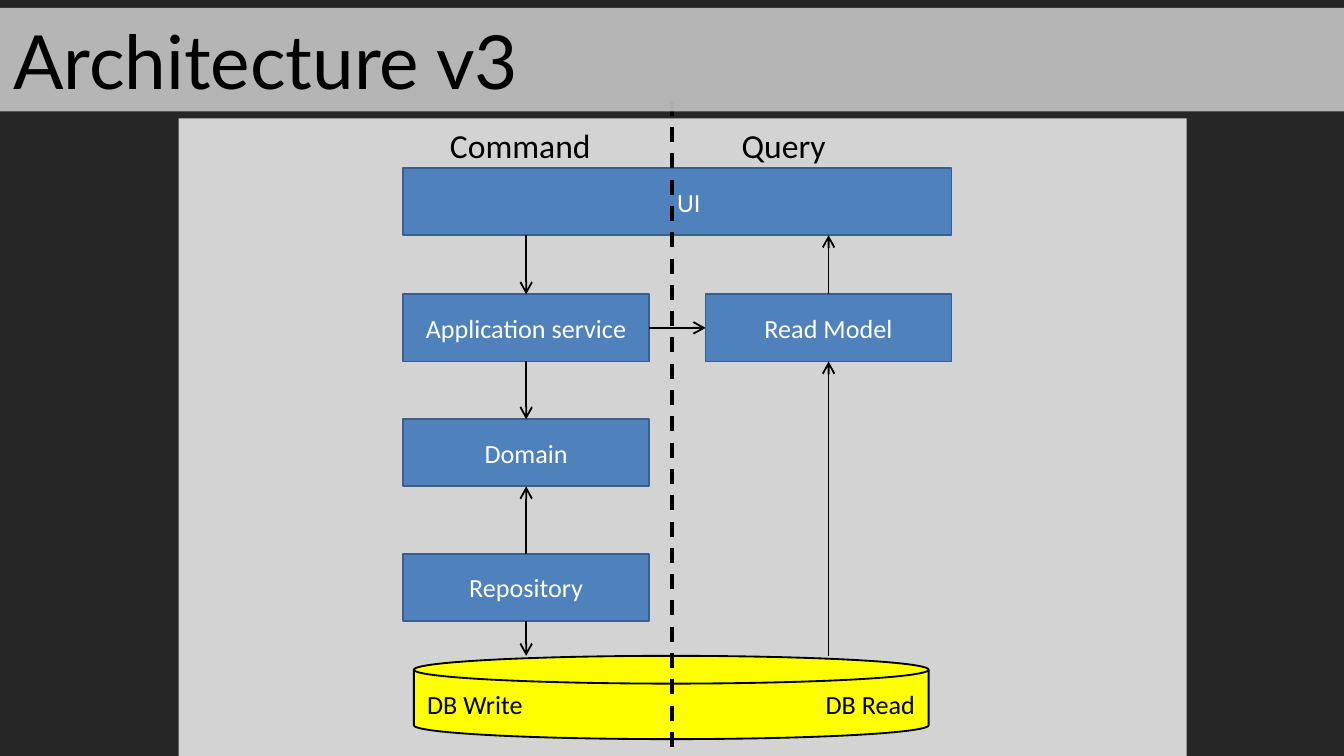
import pptx
import pptx.dml.color
import pptx.enum.dml
import pptx.enum.shapes
import pptx.enum.text
import pptx.oxml.ns
import pptx.util
from lxml import etree

Inches = pptx.util.Inches
SHAPES = pptx.enum.shapes.MSO_SHAPE
ALIGN = pptx.enum.text.PP_ALIGN
ANCHOR = pptx.enum.text.MSO_ANCHOR

COLORS = {
    "background": "262626", "panel": "F2F2F2", "banner": "D9D9D9",
    "box": "4F81BD", "edge": "3A5F8C", "store": "FFFF00",
    "white": "FFFFFF", "black": "000000",
}

TITLE = "Architecture v3"
HEADINGS = [("Command", 3.25), ("Query", 5.42)]
STORE_LABELS = ("DB Write", "DB Read")

COMMAND_LEFT, QUERY_LEFT = 3, 5.25
BOX_WIDTH, BOX_HEIGHT = 1.83, 0.5
UI_WIDTH = QUERY_LEFT + BOX_WIDTH - COMMAND_LEFT
UI_SHIFT = 0.17
STORE = (3.08, 4.88, 3.83, 0.62)
DIVIDER_X = 5

BOXES = [
    ("UI", COMMAND_LEFT, 1.25, UI_WIDTH),
    ("Application service", COMMAND_LEFT, 2.19, BOX_WIDTH),
    ("Read Model", QUERY_LEFT, 2.19, BOX_WIDTH),
    ("Domain", COMMAND_LEFT, 3.12, BOX_WIDTH),
    ("Repository", COMMAND_LEFT, 4.12, BOX_WIDTH),
]
VERTICAL_ARROWS = [
    (COMMAND_LEFT, "UI", "Application service"),
    (COMMAND_LEFT, "Application service", "Domain"),
    (COMMAND_LEFT, "Repository", "Domain"),
    (COMMAND_LEFT, "Repository", "Store"),
    (QUERY_LEFT, "Read Model", "UI"),
    (QUERY_LEFT, "Store", "Read Model"),
]

deck = pptx.Presentation()
deck.slide_width = Inches(10)
deck.slide_height = deck.slide_width * 9 // 16
page = deck.slides.add_slide(deck.slide_layouts[6])


def color(name):
    return pptx.dml.color.RGBColor.from_string(COLORS[name])


def add_element(parent, tag, **attributes):
    return etree.SubElement(parent, pptx.oxml.ns.qn(tag), attributes)


def add_shape(kind, bounds, fill, edge=None, opacity=None):
    shape = page.shapes.add_shape(kind, *map(Inches, bounds))
    shape.shadow.inherit = False
    shape.fill.solid()
    shape.fill.fore_color.rgb = color(fill)
    if opacity:
        hue = shape._element.spPr.find(".//" + pptx.oxml.ns.qn("a:srgbClr"))
        add_element(hue, "a:alpha", val=str(opacity * 1000))
    if edge:
        shape.line.color.rgb = color(edge)
        shape.line.width = pptx.util.Pt(1)
    else:
        shape.line.fill.background()
    return shape


def write(shape, text, size, ink="black", align=ALIGN.LEFT, anchor=ANCHOR.TOP, font="Calibri"):
    frame = shape.text_frame
    frame.word_wrap = True
    frame.vertical_anchor = anchor
    para = frame.paragraphs[0]
    para.text = text
    para.alignment = align
    para.font.size = pptx.util.Pt(size)
    para.font.name = font
    para.font.color.rgb = color(ink)


def add_line(start, end, width=1):
    line = page.shapes.add_connector(
        pptx.enum.shapes.MSO_CONNECTOR.STRAIGHT, *map(Inches, start + end))
    line.line.color.rgb = color("black")
    line.line.width = pptx.util.Pt(width)
    add_element(line._element.spPr, "a:effectLst")
    return line


def add_arrow(start, end):
    arrow = add_line(start, end)
    outline = arrow._element.spPr.find(pptx.oxml.ns.qn("a:ln"))
    add_element(outline, "a:tailEnd", type="arrow")


page.background.fill.solid()
page.background.fill.fore_color.rgb = color("background")
add_shape(SHAPES.RECTANGLE, (1.33, 0.88, 7.5, 4.75), "panel", opacity=85)

spans = {"Store": (STORE[1], STORE[1] + STORE[3])}
for name, left, top, width in BOXES:
    box = add_shape(SHAPES.RECTANGLE, (left, top, width, BOX_HEIGHT), "box", "edge")
    write(box, name, 14, "white", ALIGN.CENTER, ANCHOR.MIDDLE)
    if name == "UI":
        box.text_frame.margin_left = Inches(0.1 + UI_SHIFT)
    spans[name] = (top, top + BOX_HEIGHT)

store = add_shape(SHAPES.FLOWCHART_MAGNETIC_DISK, STORE, "store", "black")
properties = store.text_frame.paragraphs[0]._p.get_or_add_pPr()
tabs = add_element(properties, "a:tabLst")
add_element(tabs, "a:tab", pos=str(Inches(STORE[2] - 0.2)), algn="r")
write(store, "\t".join(STORE_LABELS), 14, anchor=ANCHOR.MIDDLE)

for left, source, target in VERTICAL_ARROWS:
    x = left + BOX_WIDTH / 2
    downward = spans[source][0] < spans[target][0]
    start, end = (1, 0) if downward else (0, 1)
    add_arrow((x, spans[source][start]), (x, spans[target][end]))

service_middle = sum(spans["Application service"]) / 2
add_arrow((COMMAND_LEFT + BOX_WIDTH, service_middle), (QUERY_LEFT, service_middle))

divider = add_line((DIVIDER_X, 0.75), (DIVIDER_X, 5.62), 2)
divider.line.dash_style = pptx.enum.dml.MSO_LINE.DASH

for heading, left in HEADINGS:
    label = page.shapes.add_textbox(*map(Inches, (left, 0.88, 1.5, 0.4)))
    write(label, heading, 18)

banner = add_shape(SHAPES.RECTANGLE, (0, 0.06, 10, 0.77), "banner", opacity=80)
write(banner, TITLE, 40, font="Lato")

deck.save("out.pptx")
